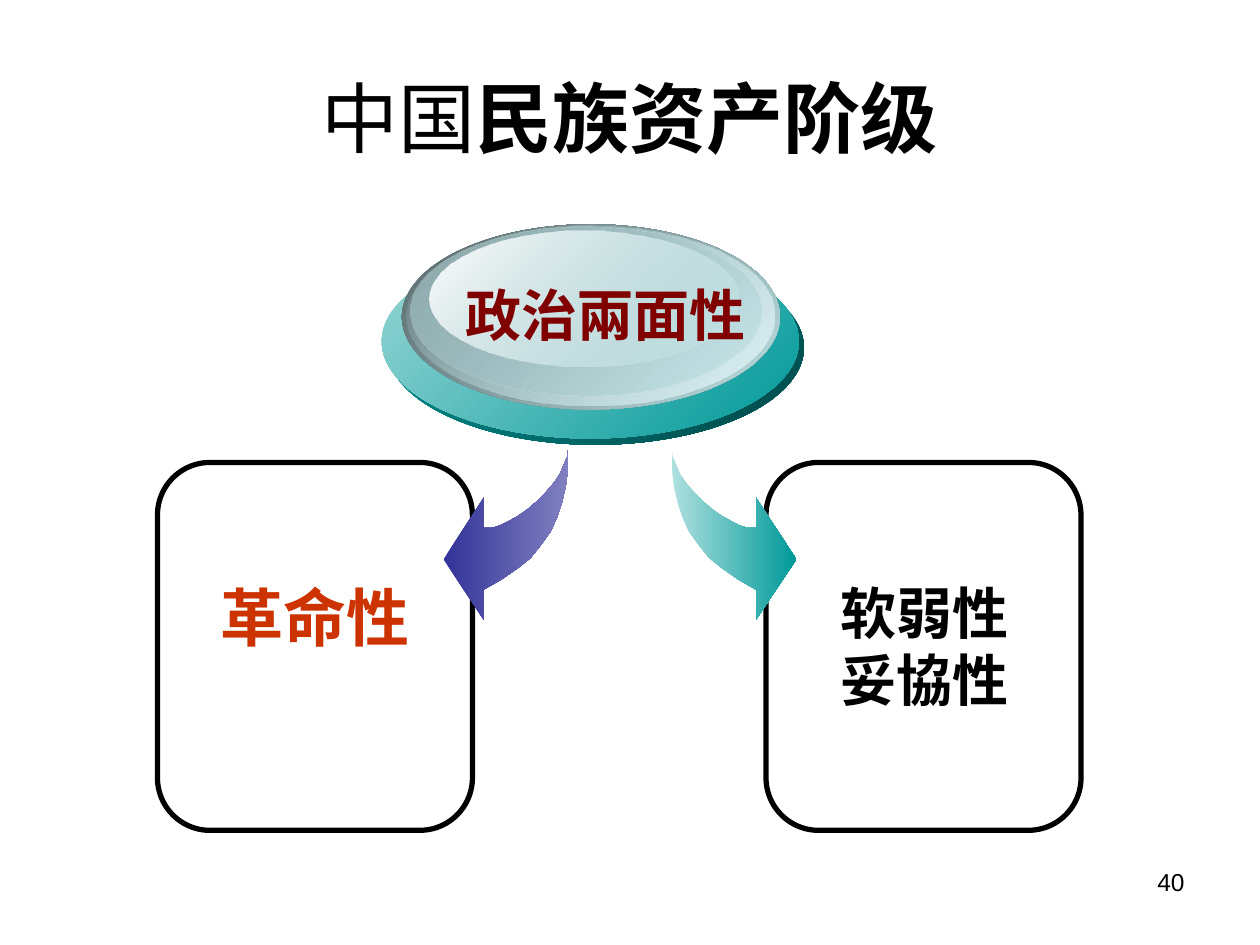
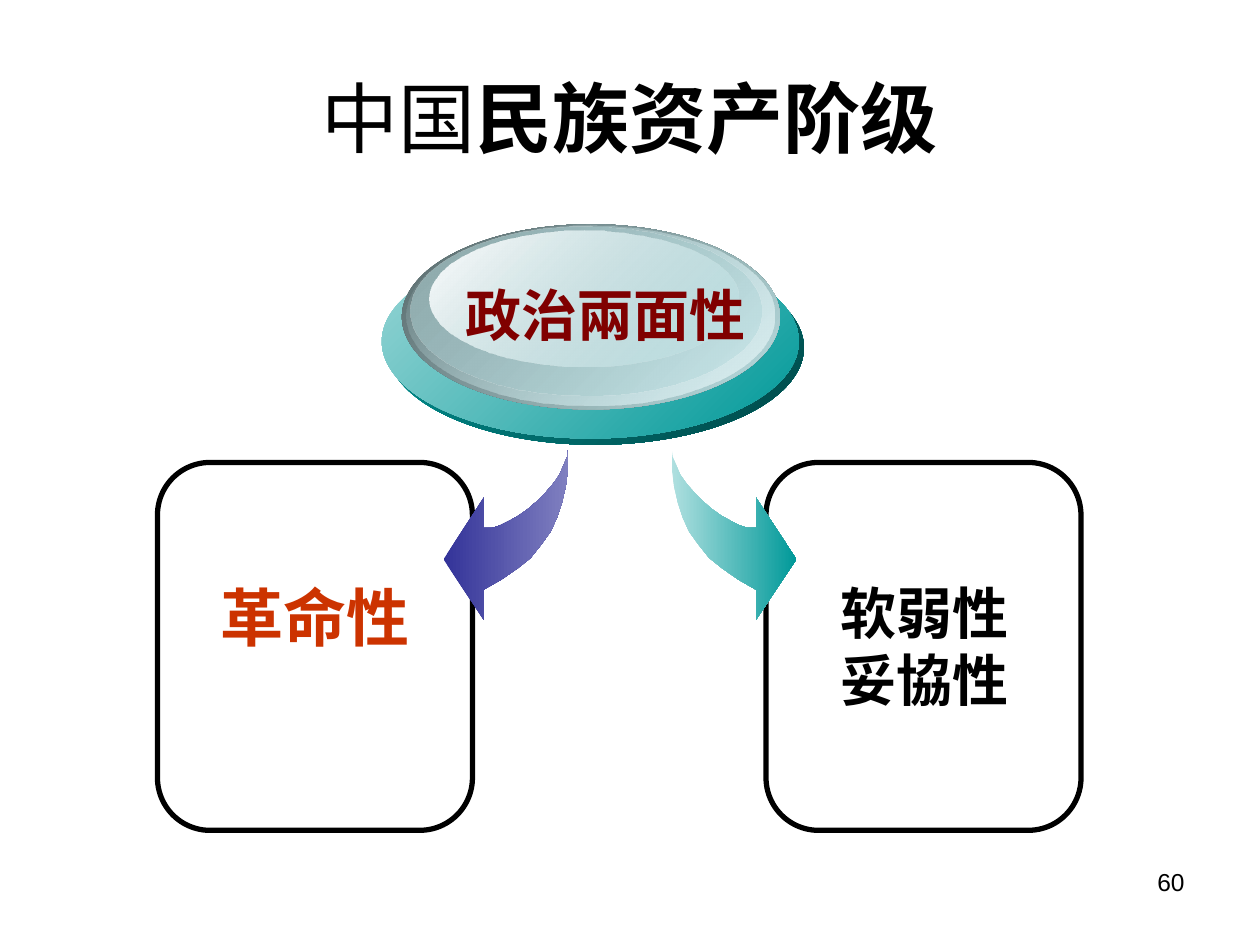
from lxml.etree import SubElement
from pptx import Presentation
from pptx.dml.color import RGBColor
from pptx.enum.shapes import MSO_SHAPE as Shape
from pptx.enum.text import MSO_ANCHOR as Anchor, MSO_AUTO_SIZE as AutoSize, PP_ALIGN as Align
from pptx.oxml.ns import qn
from pptx.util import Pt

PX = 9144
FONT = "Arial"
BLACK = RGBColor(0x00, 0x00, 0x00)
WHITE = RGBColor(0xFF, 0xFF, 0xFF)
RED = RGBColor(0xCC, 0x33, 0x00)
MAROON = RGBColor(0x80, 0x00, 0x00)
INDIGO = RGBColor(0x33, 0x33, 0x99)
LAVENDER = RGBColor(0x80, 0x80, 0xC0)
TEAL = RGBColor(0x00, 0x99, 0x99)
DARK_TEAL = RGBColor(0x00, 0x47, 0x47)
LIGHT_TEAL = RGBColor(0x99, 0xD6, 0xD6)
PALE_TEAL = RGBColor(0xB0, 0xE0, 0xE0)
SLATE = RGBColor(0x56, 0x67, 0x69)
GREY_BLUE = RGBColor(0x8F, 0xAB, 0xAD)
ICE = RGBColor(0xBB, 0xE0, 0xE3)
FROST = RGBColor(0xDD, 0xEF, 0xF1)

PAGE_NUMBERS = (40, 60)
TITLE_PARTS = (("中国", False), ("民族资产阶级", True))
DISC_LAYERS = (
    ((4, 21, 331, 154), (TEAL, 100), (DARK_TEAL, 100)),
    ((0, 16, 331, 154), (LIGHT_TEAL, 100), (TEAL, 100)),
    ((16, 0, 300, 147), (SLATE, 100), (ICE, 100)),
    ((20, 1, 292, 143), (ICE, 0), (FROST, 100)),
    ((23, 2, 278, 134), (GREY_BLUE, 100), (ICE, 48)),
    ((38, 5, 245, 108), (WHITE, 100), (ICE, 38)),
)
ARROW_WIDTH = 99
ARROW_OUTLINE = (
    (99, 0), (99, 15), (97, 30), (94, 43), (90, 55), (85, 66), (77, 77),
    (69, 87), (59, 95), (46, 104), (32, 112), (32, 136), (0, 88), (32, 39),
    (32, 63), (39, 63), (45, 61), (53, 57), (60, 53), (67, 48), (74, 42),
    (81, 35), (87, 28), (92, 21), (95, 14), (98, 7),
)


def emu(*lengths):
    """Turn px lengths into EMU."""
    return [length * PX for length in lengths]


def style_font(run, size, color, bold):
    """Apply the shared typeface with a size, colour and weight."""
    font = run.font
    font.name, font.size, font.bold = FONT, Pt(size), bold
    font.color.rgb = color


def add_label(slide, box, lines, size, color, align=Align.LEFT, bold=True):
    """Add a wrapped text box with one paragraph per line."""
    frame = slide.shapes.add_textbox(*emu(*box)).text_frame
    frame.word_wrap = True
    frame.text = "\n".join(lines)
    for paragraph in frame.paragraphs:
        paragraph.alignment = align
        style_font(paragraph.runs[0], size, color, bold)


def paint_gradient(shape, start, end, angle):
    """Fill a borderless shape between two (colour, opacity) ends."""
    shape.shadow.inherit = False
    shape.line.fill.background()
    shape.fill.gradient()
    shape.fill.gradient_angle = angle
    for stop, (color, _) in zip(shape.fill.gradient_stops, (start, end)):
        stop.color.rgb = color
    colors = shape._element.spPr.iter(qn("a:srgbClr"))
    for node, (_, opacity) in zip(colors, (start, end)):
        if opacity < 100:
            SubElement(node, qn("a:alpha")).set("val", str(opacity * 1000))


def add_title(slide, box):
    """Place the title and set its two weights."""
    title = slide.shapes.title
    title.left, title.top, title.width, title.height = emu(*box)
    frame = title.text_frame
    frame.auto_size = AutoSize.NONE
    frame.vertical_anchor = Anchor.MIDDLE
    heading = frame.paragraphs[0]
    heading.alignment = Align.CENTER
    for words, bold in TITLE_PARTS:
        run = heading.add_run()
        run.text = words
        style_font(run, 44, BLACK, bold)


def add_trait_card(slide, box, traits, text_offset, text_height, size, color):
    """Draw a rounded outline and the trait text inside it."""
    left, top, _, _ = box
    card = slide.shapes.add_shape(Shape.ROUNDED_RECTANGLE, *emu(*box))
    card.shadow.inherit = False
    card.adjustments[0] = 0.167
    card.fill.background()
    card.line.color.rgb = BLACK
    card.line.width = Pt(3)
    add_label(slide, (left + text_offset, top + 87, 223, text_height), traits, size, color)


def add_curved_arrow(slide, left, top, start, end, mirrored=False):
    """Draw the curved arrow, pointing left unless mirrored."""
    points = [(left + (ARROW_WIDTH - x if mirrored else x), top + y) for x, y in ARROW_OUTLINE]
    builder = slide.shapes.build_freeform(*points[0], scale=PX)
    builder.add_line_segments(points[1:], close=True)
    paint_gradient(builder.convert_to_shape(), (start, 100), (end, 100), 0)


def add_duality_disc(slide, left, top):
    """Stack the glossy ellipses and label them."""
    disc = slide.shapes.add_group_shape()
    for (x, y, width, height), start, end in DISC_LAYERS:
        layer = disc.shapes.add_shape(Shape.OVAL, *emu(left + x, top + y, width, height))
        paint_gradient(layer, start, end, 315)
    add_label(slide, (left + 40, top + 40, 276, 63), ["政治兩面性"], 32, MAROON, Align.CENTER)


def add_duality_slide(deck, page_number):
    """Build one slide on the two sides of the class."""
    slide = deck.slides.add_slide(deck.slide_layouts[5])
    add_title(slide, (50, 30, 900, 125))
    add_label(slide, (717, 683, 233, 52), [str(page_number)], 14, BLACK, Align.RIGHT, bold=False)
    add_trait_card(slide, (608, 367, 250, 292), ["软弱性", "妥協性"], 49, 117, 32, BLACK)
    add_trait_card(slide, (125, 367, 250, 292), ["革命性"], 40, 70, 36, RED)
    add_curved_arrow(slide, 352, 356, INDIGO, LAVENDER)
    add_curved_arrow(slide, 533, 356, PALE_TEAL, TEAL, mirrored=True)
    add_duality_disc(slide, 303, 178)


def main():
    """Create and save the deck."""
    deck = Presentation()
    deck.slide_width, deck.slide_height = emu(1000, 750)
    for page_number in PAGE_NUMBERS:
        add_duality_slide(deck, page_number)
    deck.save("out.pptx")


if __name__ == "__main__":
    main()
